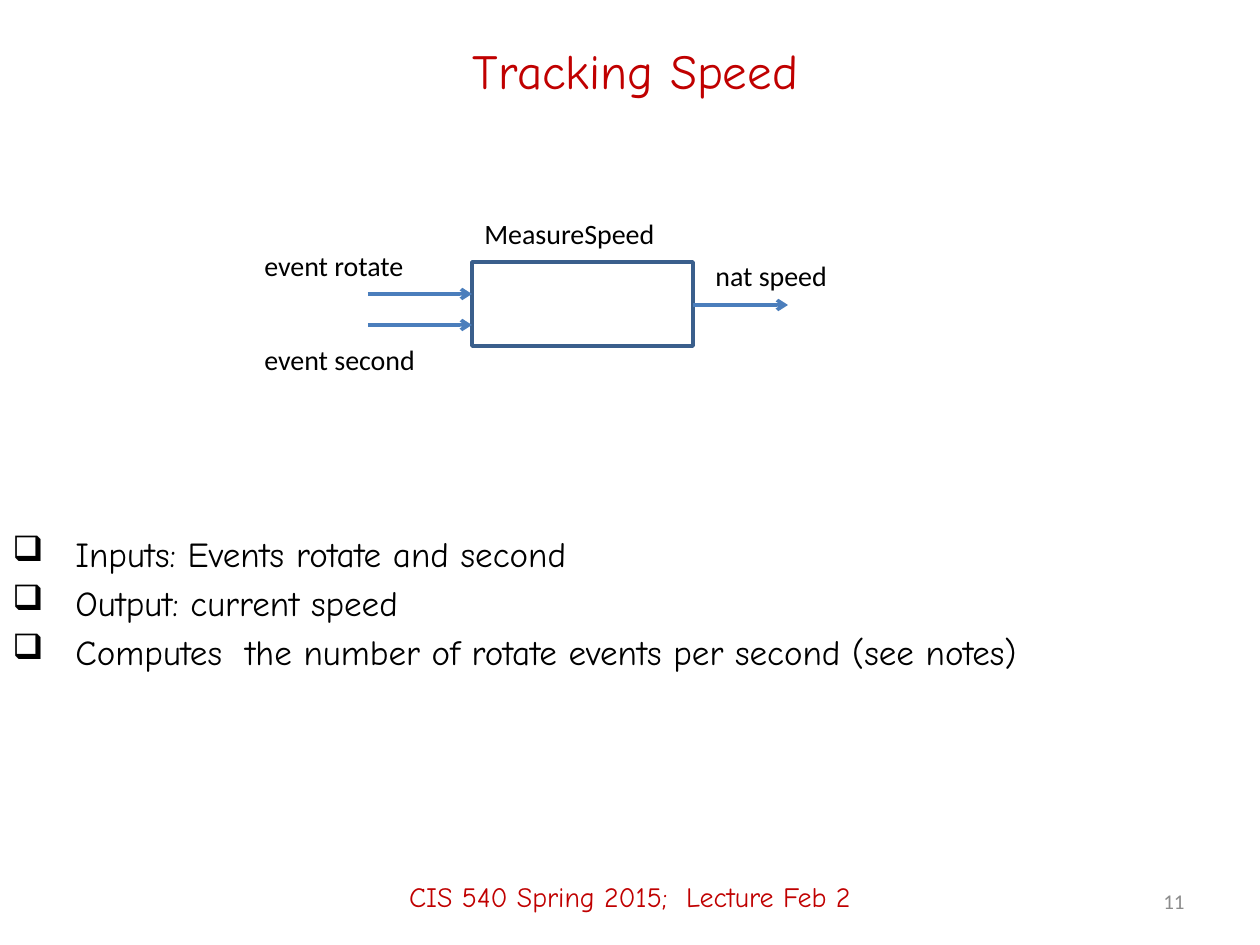
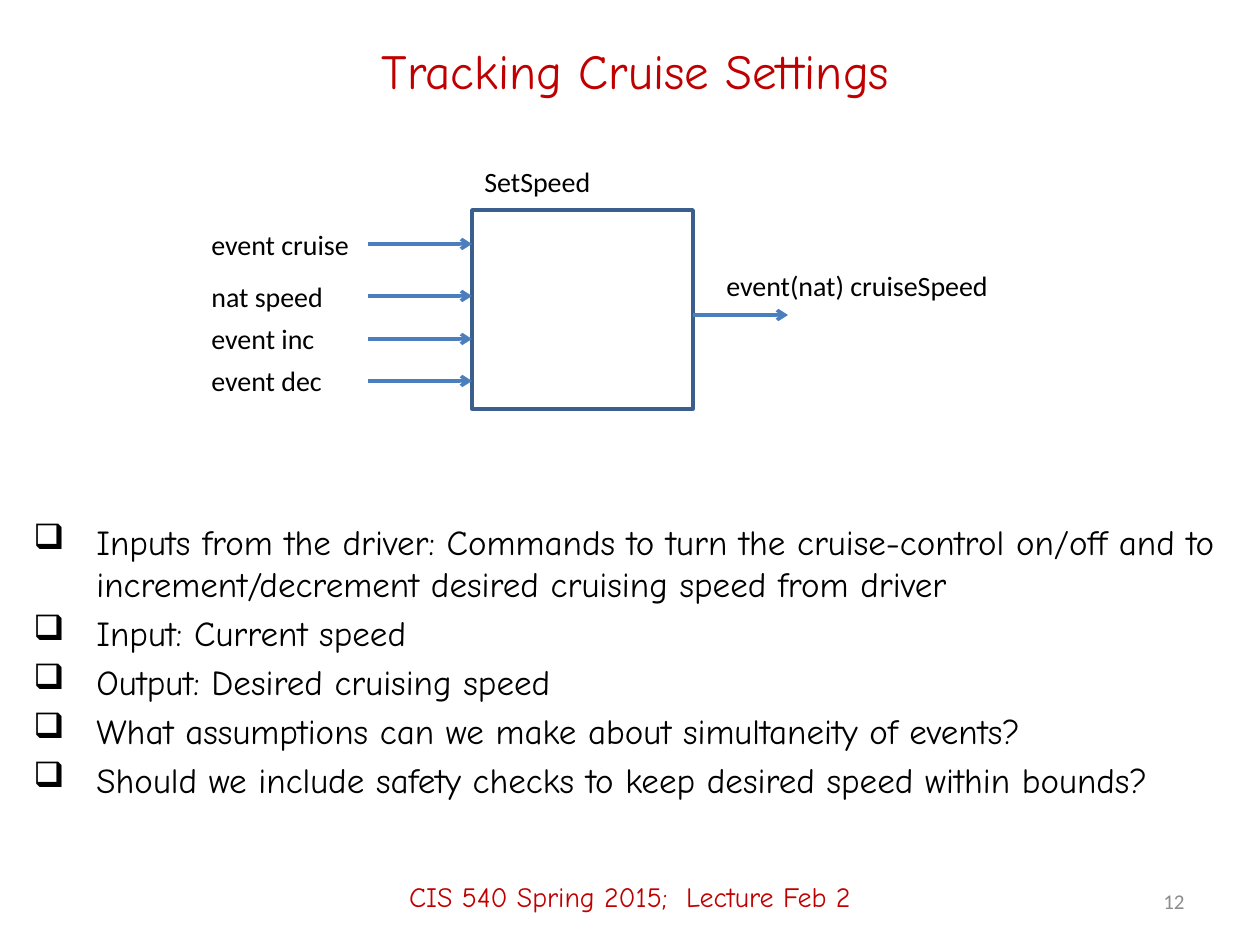
from lxml import etree
from pptx import Presentation
from pptx import util as u
from pptx.dml.color import RGBColor
from pptx.enum import shapes, text
from pptx.oxml import ns

# Content: lengths in px; inputs and outputs are arrow heights, labels are (text, left, top, width)
SLIDES = [
    {
        "title": "Tracking Speed",
        "block": (262, 84),
        "inputs": [294, 325],
        "output": 305,
        "labels": [
            ("MeasureSpeed", 472, 210, 198),
            ("event rotate", 252, 242, 166),
            ("event second", 252, 336, 178),
            ("nat speed", 703, 252, 139),
        ],
        "bullet_box": (0, 526, 1239, 272),
        "bullets": [
            "Inputs: Events rotate and second",
            "Output: current speed",
            "Computes  the number of rotate events per second (see notes)",
        ],
    },
    {
        "title": "Tracking Cruise Settings",
        "block": (210, 199),
        "inputs": [244, 296, 339, 381],
        "output": 315,
        "labels": [
            ("SetSpeed", 472, 158, 132),
            ("event cruise", 199, 221, 165),
            ("nat speed", 199, 273, 139),
            ("event inc", 199, 315, 130),
            ("event dec", 199, 357, 137),
            ("event(nat) cruiseSpeed", 714, 262, 291),
        ],
        "bullet_box": (21, 514, 1239, 305),
        "bullets": [
            "Inputs from the driver: Commands to turn the cruise-control on/off and to "
            "increment/decrement desired cruising speed from driver",
            "Input: Current speed",
            "Output: Desired cruising speed",
            "What assumptions can we make about simultaneity of events?",
            "Should we include safety checks to keep desired speed within bounds?",
        ],
    },
]
FOOTER = "CIS 540 Spring 2015;  Lecture Feb 2"
FIRST_NUMBER = 11

# Shared look
RED = RGBColor(0xC0, 0x00, 0x00)
BLACK = RGBColor(0x00, 0x00, 0x00)
GREY = RGBColor(0x8C, 0x8C, 0x8C)
BLOCK_BLUE = RGBColor(0x3A, 0x5F, 0x8C)
ARROW_BLUE = RGBColor(0x4B, 0x7E, 0xBC)
HAND, PLAIN = "Comic Neue", "Calibri"
STYLES = {
    "title": {"name": HAND, "size": u.Pt(28), "color": RED},
    "bullet": {"name": HAND, "size": u.Pt(20), "color": BLACK},
    "label": {"name": PLAIN, "size": u.Pt(16), "color": BLACK},
    "footer": {"name": HAND, "size": u.Pt(16), "color": RED},
    "number": {"name": PLAIN, "size": u.Pt(12), "color": GREY},
}
TITLE_BOX = (95, 21, 1081, 98)
FOOTER_BOX = (0, 847, 1260, 98)
NUMBER_BOX = (903, 876, 294, 50)
LABEL_HEIGHT = 47
BLOCK_LEFT, BLOCK_WIDTH = 472, 221
BLOCK_RIGHT = BLOCK_LEFT + BLOCK_WIDTH
INPUT_START, OUTPUT_END = 368, 788
BULLET_INDENT = 63


def px(length):
    return u.Emu(round(length * 914400 / 126))


def style_font(font, style):
    for key, value in STYLES[style].items():
        if key == "color":
            font.color.rgb = value
        else:
            setattr(font, key, value)


def add_text(slide, box, lines, style, align=text.PP_ALIGN.LEFT,
             anchor=text.MSO_ANCHOR.TOP, wrap=True):
    frame = slide.shapes.add_textbox(*map(px, box)).text_frame
    frame.word_wrap = wrap
    frame.vertical_anchor = anchor
    frame.text = "\n".join(lines)
    for paragraph in frame.paragraphs:
        paragraph.alignment = align
        if style == "bullet":
            add_bullet(paragraph)
        for run in paragraph.runs:
            style_font(run.font, style)
    return frame


def add_bullet(paragraph):
    properties = paragraph._p.get_or_add_pPr()
    properties.set("marL", str(px(BULLET_INDENT)))
    properties.set("indent", str(-px(BULLET_INDENT)))
    etree.SubElement(properties, ns.qn("a:buChar")).set("char", "❑")


def add_arrow(slide, start, end, height):
    arrow = slide.shapes.add_connector(
        shapes.MSO_CONNECTOR.STRAIGHT, px(start), px(height), px(end), px(height))
    arrow.line.color.rgb = ARROW_BLUE
    arrow.line.width = u.Pt(2)
    etree.SubElement(arrow.line._get_or_add_ln(), ns.qn("a:tailEnd")).set("type", "arrow")
    etree.SubElement(arrow._element.spPr, ns.qn("a:effectLst"))


def add_diagram(slide, content):
    top, height = content["block"]
    block = slide.shapes.add_shape(
        shapes.MSO_SHAPE.RECTANGLE, *map(px, (BLOCK_LEFT, top, BLOCK_WIDTH, height)))
    block.shadow.inherit = False
    block.fill.background()
    block.line.color.rgb = BLOCK_BLUE
    block.line.width = u.Pt(2)
    for arrow_height in content["inputs"]:
        add_arrow(slide, INPUT_START, BLOCK_LEFT, arrow_height)
    add_arrow(slide, BLOCK_RIGHT, OUTPUT_END, content["output"])
    for label, left, label_top, width in content["labels"]:
        add_text(slide, (left, label_top, width, LABEL_HEIGHT), [label], "label", wrap=False)


def add_slide(presentation, content, number):
    slide = presentation.slides.add_slide(presentation.slide_layouts[6])
    # Title, footer and slide number
    for box, line, style, align in (
        (TITLE_BOX, content["title"], "title", text.PP_ALIGN.CENTER),
        (FOOTER_BOX, FOOTER, "footer", text.PP_ALIGN.CENTER),
        (NUMBER_BOX, str(number), "number", text.PP_ALIGN.RIGHT),
    ):
        add_text(slide, box, [line], style, align, text.MSO_ANCHOR.MIDDLE)
    add_diagram(slide, content)
    # Bullets
    frame = add_text(slide, content["bullet_box"], content["bullets"], "bullet")
    for paragraph in frame.paragraphs[1:]:
        paragraph.space_before = u.Pt(4)


def main():
    presentation = Presentation()
    presentation.slide_width, presentation.slide_height = px(1260), px(945)
    for number, content in enumerate(SLIDES, FIRST_NUMBER):
        add_slide(presentation, content, number)
    presentation.save("out.pptx")


if __name__ == "__main__":
    main()
